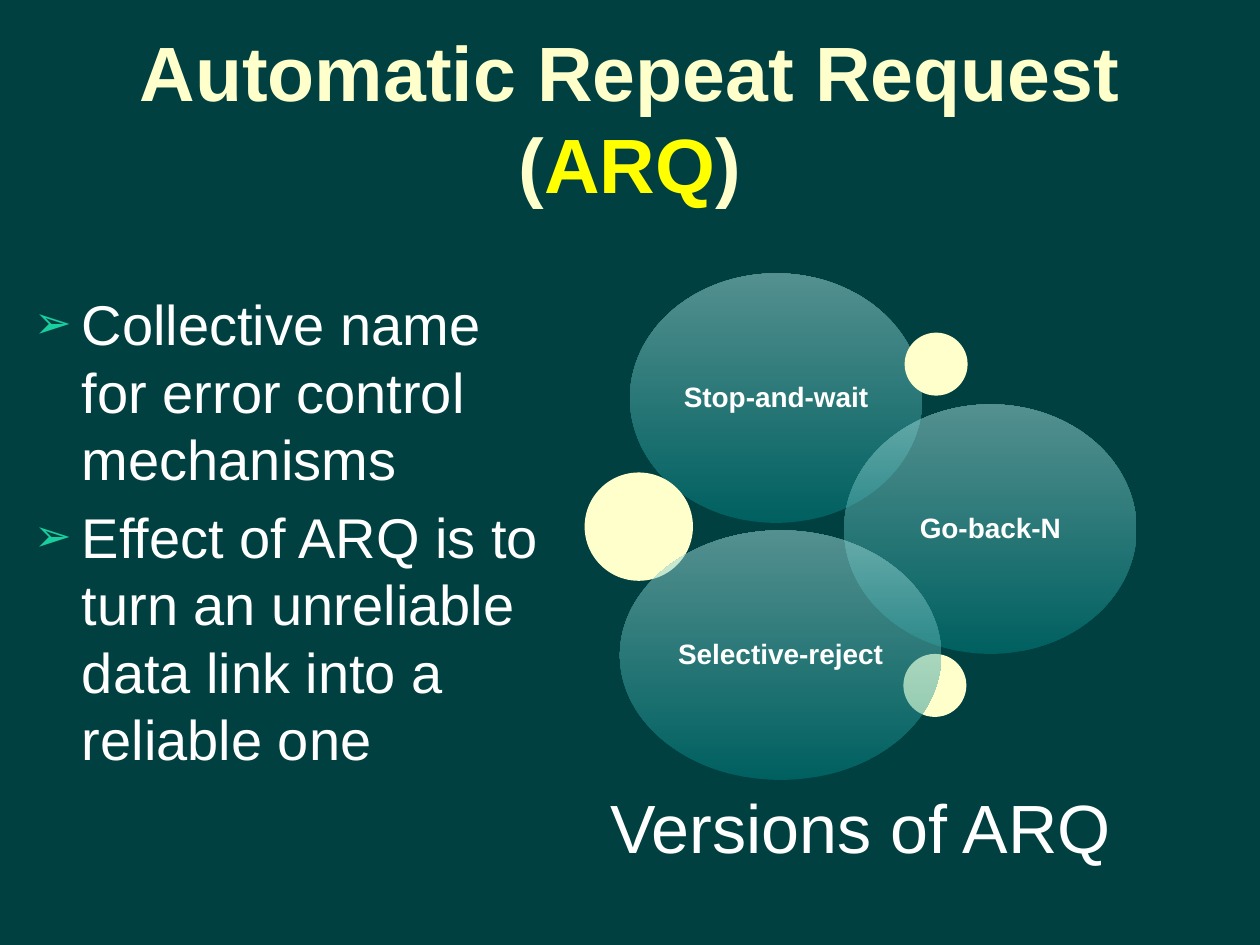
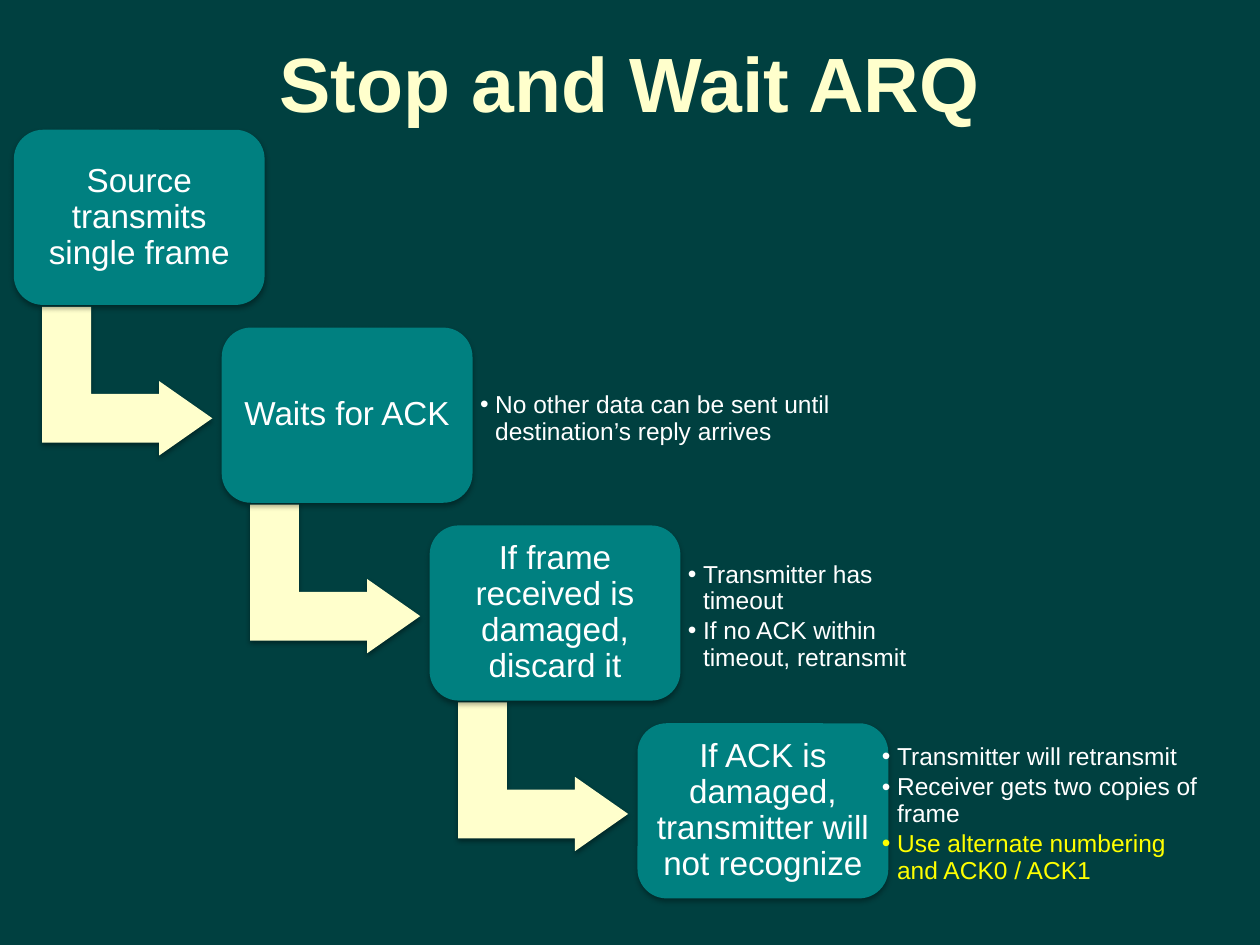
from lxml.etree import SubElement
from pptx import Presentation
from pptx.dml.color import RGBColor
from pptx.enum.shapes import MSO_SHAPE as Preset
from pptx.enum.text import MSO_ANCHOR as Anchor, MSO_AUTO_SIZE as AutoSize, PP_ALIGN as Align
from pptx.oxml.ns import qn
from pptx.util import Inches, Pt

FONT = "Arial"
COLORS = {
    "background": "004040",
    "cream": "FFFFCC",
    "yellow": "FFFF00",
    "white": "FFFFFF",
    "teal": "008080",
    "mist": "A9E0E0",
    "bullet": "1ACE9F",
    "shadow": "000000",
}
VERSIONS = [
    ("Stop-and-wait", (0.36, 0, 2.32, 1.98)),
    (None, (0, 1.58, 0.86, 0.86)),
    (None, (2.54, 0.47, 0.5, 0.5)),
    ("Go-back-N", (2.06, 1.04, 2.32, 1.98)),
    (None, (2.53, 3.02, 0.5, 0.5)),
    ("Selective-reject", (0.28, 2.04, 2.55, 1.98)),
]
STEPS = [
    ("Source transmits single frame", None, []),
    ("Waits for ACK", (1.99, 2.95),
     [("No other data can be sent until destination’s reply arrives", "white")]),
    ("If frame received is damaged, discard it", (1.99, 1.93),
     [("Transmitter has timeout", "white"),
      ("If no ACK within timeout, retransmit", "white")]),
    ("If ACK is damaged, transmitter will not recognize", (1.88, 2.73),
     [("Transmitter will retransmit", "white"),
      ("Receiver gets two copies of frame", "white"),
      ("Use alternate numbering and ACK0 / ACK1", "yellow")]),
]


def rgb(name):
    """Return the named colour."""
    return RGBColor.from_string(COLORS[name])


def set_font(font, size, color, bold=False):
    """Format a font."""
    font.name, font.size, font.bold = FONT, Pt(size), bold
    font.color.rgb = rgb(color)


def set_frame(frame, inset):
    """Make a text frame wrap, centred vertically, with equal insets."""
    frame.word_wrap = True
    frame.auto_size = AutoSize.NONE
    frame.vertical_anchor = Anchor.MIDDLE
    frame.margin_left = frame.margin_right = Inches(inset)
    frame.margin_top = frame.margin_bottom = Inches(inset)


def write_label(frame, text, size, inset=0.07, bold=False):
    """Write one centred paragraph."""
    set_frame(frame, inset)
    paragraph = frame.paragraphs[0]
    paragraph.text = text
    paragraph.alignment = Align.CENTER
    paragraph.line_spacing = 0.9
    set_font(paragraph.font, size, "white", bold)


def set_bullet(paragraph, character, indent, color=None, percent=100):
    """Give a paragraph a hanging bullet."""
    properties = paragraph._p.get_or_add_pPr()
    properties.set("marL", str(Inches(indent)))
    properties.set("indent", str(-Inches(indent)))
    if color:
        bullet_color = SubElement(properties, qn("a:buClr"))
        SubElement(bullet_color, qn("a:srgbClr"), val=COLORS[color])
    SubElement(properties, qn("a:buSzPct"), val=str(percent * 1000))
    SubElement(properties, qn("a:buFont"), typeface=FONT)
    SubElement(properties, qn("a:buChar"), char=character)


def write_list(frame, items, size, character, indent, **bullet):
    """Fill a frame with bulleted (text, colour) items."""
    for index, (text, color) in enumerate(items):
        paragraph = frame.paragraphs[0] if index == 0 else frame.add_paragraph()
        paragraph.text = text
        set_font(paragraph.font, size, color)
        set_bullet(paragraph, character, indent, **bullet)


def place(shape, left, top, width, height):
    """Set the box of a shape in inches."""
    shape.left, shape.top = Inches(left), Inches(top)
    shape.width, shape.height = Inches(width), Inches(height)


def add_textbox(slide, *box):
    """Add a text box and return its frame."""
    return slide.shapes.add_textbox(*map(Inches, box)).text_frame


def add_shape(slide, preset, box, color):
    """Add a flat shape without an outline."""
    shape = slide.shapes.add_shape(preset, *map(Inches, box))
    shape.shadow.inherit = False
    shape.fill.solid()
    shape.fill.fore_color.rgb = rgb(color)
    shape.line.fill.background()
    return shape


def add_shadow(shape, distance, opacity):
    """Drop a soft shadow below a shape."""
    effects = shape._element.spPr.find(qn("a:effectLst"))
    shadow = SubElement(effects, qn("a:outerShdw"), blurRad=str(Pt(3.1)),
                        dist=str(Pt(distance)), dir="5400000", rotWithShape="0")
    color = SubElement(shadow, qn("a:srgbClr"), val=COLORS["shadow"])
    SubElement(color, qn("a:alpha"), val=str(opacity * 1000))


def fill_glass(shape):
    """Fill a shape with a half-transparent vertical gradient."""
    shape.fill.gradient()
    shape.fill.gradient_angle = 90
    for stop, position, color in zip(shape.fill.gradient_stops, (0, 1), ("teal", "mist")):
        stop.position = position
        stop.color.rgb = rgb(color)
    for color in shape._element.spPr.iter(qn("a:srgbClr")):
        SubElement(color, qn("a:alpha"), val="50000")


def add_title(slide, parts, top):
    """Fill the title placeholder with (text, colour) parts."""
    title = slide.shapes.title
    place(title, 0.5, top, 9, 1.25)
    title.text_frame.auto_size = AutoSize.NONE
    title.text_frame.vertical_anchor = Anchor.MIDDLE
    paragraph = title.text_frame.paragraphs[0]
    paragraph.alignment = Align.CENTER
    for text, color in parts:
        run = paragraph.add_run()
        run.text = text
        set_font(run.font, 44, color, bold=True)


def add_body(slide, items, box):
    """Fill the body placeholder with a list."""
    body = slide.placeholders[1]
    place(body, *box)
    body.text_frame.auto_size = AutoSize.NONE
    write_list(body.text_frame, [(item, "white") for item in items], 32,
               "➢", 0.38, color="bullet", percent=80)
    for paragraph in body.text_frame.paragraphs:
        paragraph.space_before = Pt(6.4)


def add_versions(slide, left, top):
    """Draw the cluster of bubbles and its caption."""
    for label, (x, y, width, height) in VERSIONS:
        bubble = add_shape(slide, Preset.OVAL, (left + x, top + y, width, height), "cream")
        if label:
            fill_glass(bubble)
            write_label(bubble.text_frame, label, 16, bold=True)
    caption = add_textbox(slide, left, top + 3.92, 4.38, 1.02)
    write_label(caption, "Versions of ARQ", 39, inset=0.16)


def add_arrow(slide, left, top):
    """Draw the bent arrow that leads to the next step."""
    arrow = add_shape(slide, Preset.BENT_UP_ARROW, (left, top, 1.18, 1.35), "cream")
    arrow.rotation = 90
    for index, value in enumerate((0.328, 0.25, 0.358)):
        arrow.adjustments[index] = value
    add_shadow(arrow, 1.6, 38)


def add_notes(slide, items, left, top, width):
    """Write the remarks beside a step."""
    frame = add_textbox(slide, left, top, width, 1.13)
    set_frame(frame, 0.06)
    write_list(frame, items, 14, "•", 0.12)
    for paragraph in frame.paragraphs:
        paragraph.line_spacing = 0.9
        paragraph.space_after = Pt(2.1)


def add_staircase(slide, left, top):
    """Draw the steps going down to the right."""
    for index, (label, notes_box, notes) in enumerate(STEPS):
        x, y = left + 1.65 * index, top + 1.57 * index
        if index < len(STEPS) - 1:
            add_arrow(slide, x + 0.31, y + 1.32)
        step = add_shape(slide, Preset.ROUNDED_RECTANGLE, (x, y, 1.99, 1.39), "teal")
        add_shadow(step, 1.8, 35)
        write_label(step.text_frame, label, 19)
        if notes:
            offset, width = notes_box
            add_notes(slide, notes, x + offset, y + 0.16, width)


def build_request_slide(presentation):
    """Build the slide that introduces ARQ."""
    slide = presentation.slides.add_slide(presentation.slide_layouts[1])
    add_title(slide, [("Automatic Repeat Request (", "cream"), ("ARQ", "yellow"),
                      (")", "cream")], 0.3)
    add_body(slide, ["Collective name for error control mechanisms",
                     "Effect of ARQ is to turn an unreliable data link into a reliable one"],
             (0.17, 2.25, 4.25, 4.87))
    add_versions(slide, 4.64, 2.17)


def build_stop_and_wait_slide(presentation):
    """Build the slide with the stop and wait steps."""
    slide = presentation.slides.add_slide(presentation.slide_layouts[5])
    add_title(slide, [("Stop and Wait ARQ", "cream")], 0.02)
    add_staircase(slide, 0.11, 1.03)


def main():
    """Build and save the presentation."""
    presentation = Presentation()
    presentation.slide_width, presentation.slide_height = Inches(10), Inches(7.5)
    background = presentation.slide_master.background.fill
    background.solid()
    background.fore_color.rgb = rgb("background")
    build_request_slide(presentation)
    build_stop_and_wait_slide(presentation)
    presentation.save("out.pptx")


if __name__ == "__main__":
    main()
